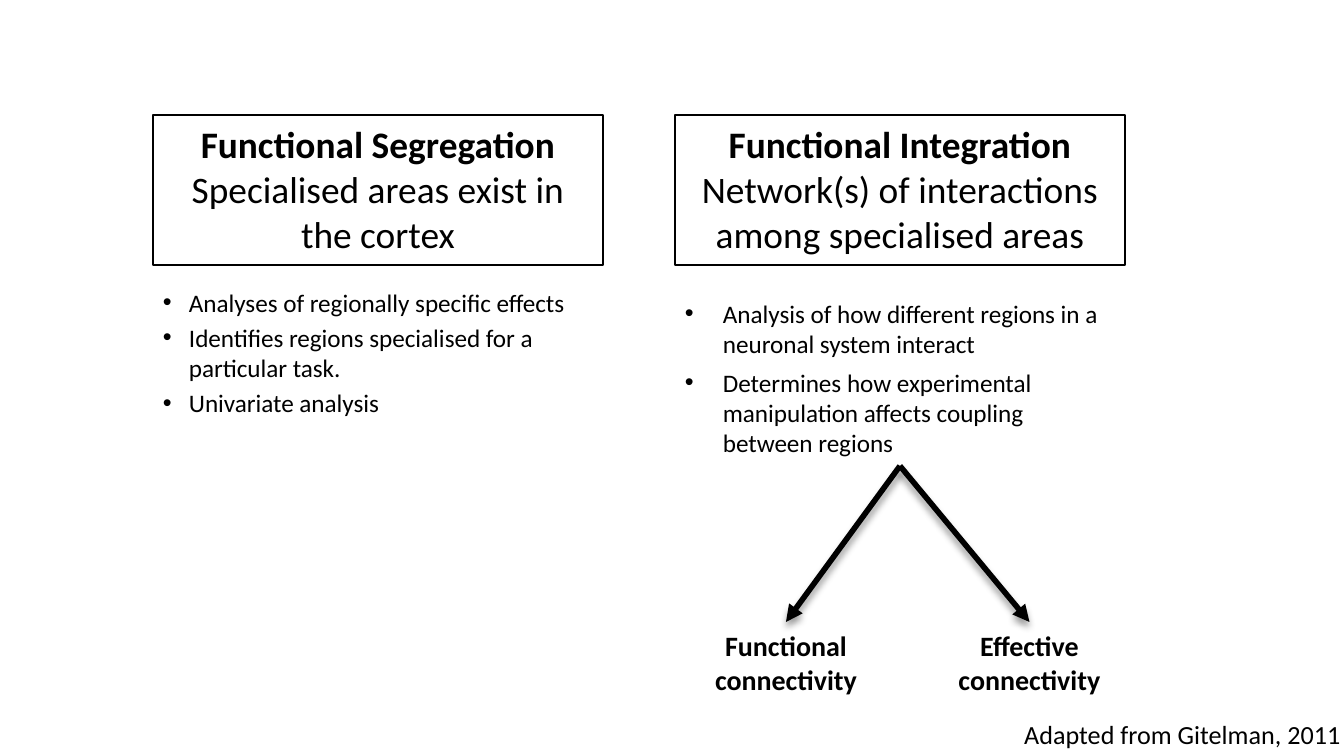
from lxml import etree
from pptx import Presentation
from pptx.dml.color import RGBColor
from pptx.enum.shapes import MSO_CONNECTOR, MSO_SHAPE
from pptx.enum.text import MSO_ANCHOR, MSO_AUTO_SIZE, PP_ALIGN
from pptx.oxml.ns import qn
from pptx.util import Emu, Pt

RECT = MSO_SHAPE.RECTANGLE
STRAIGHT = MSO_CONNECTOR.STRAIGHT
CENTER, LEFT = PP_ALIGN.CENTER, PP_ALIGN.LEFT
TOP = MSO_ANCHOR.TOP
FIT = MSO_AUTO_SIZE.SHAPE_TO_FIT_TEXT
BOTTOM_SIDE, TOP_SIDE = 2, 0

# Content; bullet values are (top, height, indent) in px, gap in pt
COLUMNS = [
    dict(title="Functional Segregation",
         summary="Specialised areas exist in the cortex",
         points=["Analyses of regionally specific effects",
                 "Identifies regions specialised for a particular task.",
                 "Univariate analysis"],
         top=282, height=144, indent=26, gap=2.7),
    dict(title="Functional Integration",
         summary="Network(s) of interactions among specialised areas",
         points=["Analysis of how different regions in a neuronal system interact",
                 "Determines how experimental manipulation affects coupling between regions"],
         top=293, height=173, indent=38, gap=4.7),
]
CONNECTIVITY = [("Functional connectivity", 672, 228),
                ("Effective connectivity", 934, 191)]
CREDIT = "Adapted from Gitelman, 2011"

THEME = dict(font="Calibri", ink=RGBColor(0, 0, 0), heading=20, body=13.5,
             label=15, credit=14, border=0.75, arrow=3)

# Layout in px
SLIDE_W, SLIDE_H = 1344, 756
COLUMN_X, COLUMN_STEP, COLUMN_W = 153, 522, 450
HEADING_Y, HEADING_H = 115, 150
LABEL_Y, LABEL_H = 622, 82


def px(n):
    return Emu(round(n * 914400 / 134.4))


def write(shape, paragraphs, size, bold=(), align=LEFT, wrap=True,
          margins=None, indent=0, gap=0):
    """Fill a shape with paragraphs; bold holds the indexes of bold ones."""
    frame = shape.text_frame
    frame.word_wrap, frame.auto_size = wrap, FIT
    frame.vertical_anchor = TOP
    if margins:
        frame.margin_left = frame.margin_right = px(margins[0])
        frame.margin_top = frame.margin_bottom = px(margins[1])
    for i, text in enumerate(paragraphs):
        paragraph = frame.paragraphs[0] if i == 0 else frame.add_paragraph()
        paragraph.text = text
        paragraph.alignment = align
        if i and gap:
            paragraph.space_before = Pt(gap)
        if indent:
            props = paragraph._p.get_or_add_pPr()
            props.set("marL", str(px(indent)))
            props.set("indent", str(-px(indent)))
            etree.SubElement(props, qn("a:buFont"), typeface="Arial")
            etree.SubElement(props, qn("a:buChar"), char="•")
        font = paragraph.runs[0].font
        font.name, font.size, font.bold = THEME["font"], Pt(size), i in bold
        font.color.rgb = THEME["ink"]


def add_arrow(shapes, source, target):
    """Join the bottom of source to the top of target."""
    arrow = shapes.add_connector(STRAIGHT, 0, 0, 0, 0)
    arrow.begin_connect(source, BOTTOM_SIDE)
    arrow.end_connect(target, TOP_SIDE)
    arrow.line.color.rgb = THEME["ink"]
    arrow.line.width = Pt(THEME["arrow"])
    etree.SubElement(arrow.line._get_or_add_ln(), qn("a:tailEnd"), type="triangle")
    effects = etree.SubElement(arrow._element.spPr, qn("a:effectLst"))
    shadow = etree.SubElement(effects, qn("a:outerShdw"), blurRad=str(Pt(4)),
                              dist=str(Pt(3)), dir="5400000", rotWithShape="0")
    color = etree.SubElement(shadow, qn("a:srgbClr"), val=str(THEME["ink"]))
    etree.SubElement(color, qn("a:alpha"), val="40000")


def main():
    deck = Presentation()
    deck.slide_width, deck.slide_height = px(SLIDE_W), px(SLIDE_H)
    shapes = deck.slides.add_slide(deck.slide_layouts[6]).shapes

    # Columns: framed heading above bullets
    for i, column in enumerate(COLUMNS):
        x = COLUMN_X + i * COLUMN_STEP
        heading = shapes.add_shape(RECT, px(x), px(HEADING_Y), px(COLUMN_W), px(HEADING_H))
        heading.shadow.inherit = False
        heading.fill.background()
        heading.line.color.rgb = THEME["ink"]
        heading.line.width = Pt(THEME["border"])
        write(heading, [column["title"], column["summary"]], THEME["heading"],
              bold=[0], align=CENTER)
        bullets = shapes.add_textbox(px(x), px(column["top"]), px(COLUMN_W), px(column["height"]))
        write(bullets, column["points"], THEME["body"], margins=(10, 5),
              indent=column["indent"], gap=column["gap"])

    # The integration column branches into two kinds of connectivity
    for text, x, width in CONNECTIVITY:
        label = shapes.add_textbox(px(x), px(LABEL_Y), px(width), px(LABEL_H))
        write(label, [text], THEME["label"], bold=[0], align=CENTER)
        add_arrow(shapes, bullets, label)

    # Credit
    credit = shapes.add_textbox(px(1011), px(712), px(347), px(45))
    write(credit, [CREDIT], THEME["credit"], wrap=False)

    deck.save("out.pptx")


if __name__ == "__main__":
    main()
